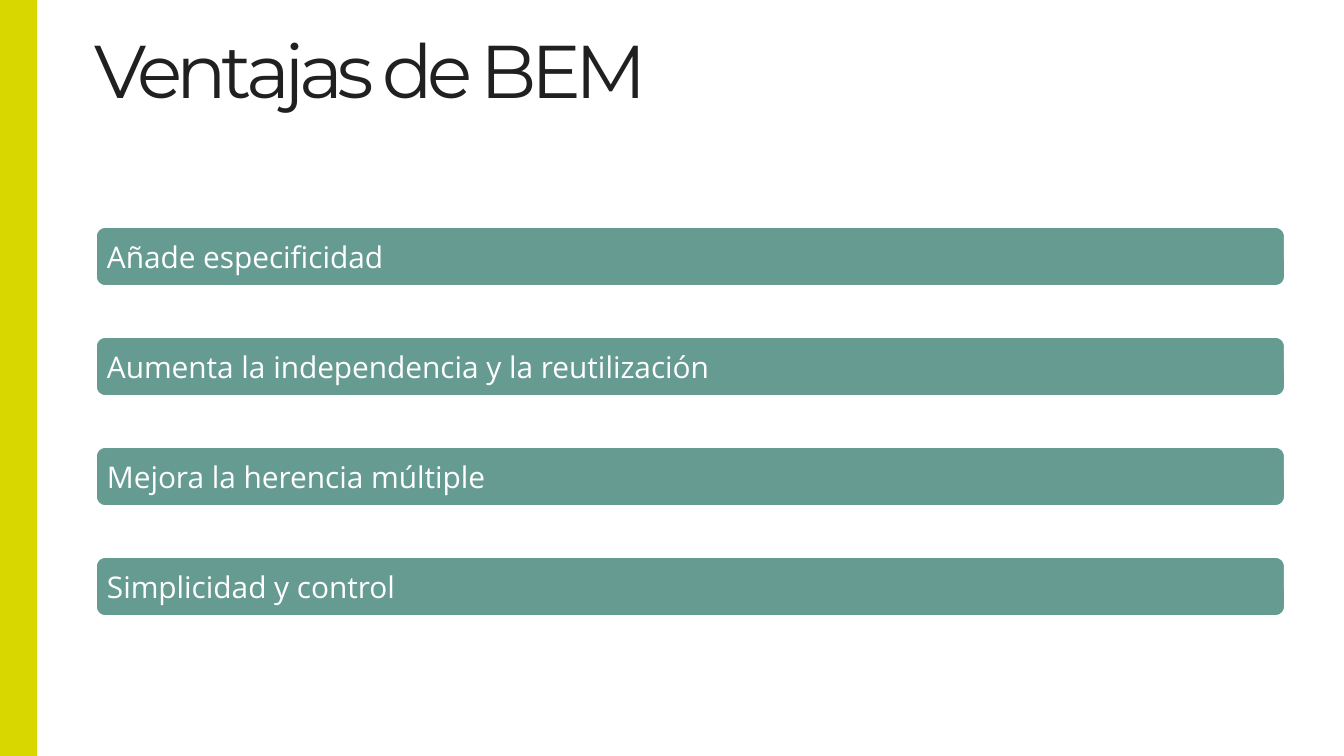
import pptx
import pptx.util
import pptx.dml.color
import pptx.enum.shapes
import pptx.enum.text

EMU_PER_PX = 914400 / 134.4
COLORS = {"accent": "D8D800", "bar": "659B91", "title": "202020", "white": "FFFFFF"}
ADVANTAGES = [
    "Añade especificidad",
    "Aumenta la independencia y la reutilización",
    "Mejora la herencia múltiple",
    "Simplicidad y control",
]
BAR_LEFT, BAR_TOP, BAR_WIDTH, BAR_HEIGHT, BAR_STEP = 95, 226, 1191, 61, 110


def px(length):
    return pptx.util.Emu(round(length * EMU_PER_PX))


def color(name):
    return pptx.dml.color.RGBColor.from_string(COLORS[name])


def set_attributes(target, values):
    for name, value in values.items():
        setattr(target, name, value)


def write_text(shape, text, font_name, size, color_name, anchor, insets):
    left, top, right, bottom = map(px, insets)
    frame = shape.text_frame
    set_attributes(frame, {
        "word_wrap": True, "vertical_anchor": anchor,
        "margin_left": left, "margin_top": top,
        "margin_right": right, "margin_bottom": bottom,
    })
    paragraph = frame.paragraphs[0]
    paragraph.alignment = pptx.enum.text.PP_ALIGN.LEFT
    run = paragraph.add_run()
    run.text = text
    set_attributes(run.font, {"name": font_name, "size": pptx.util.Pt(size)})
    run.font.color.rgb = color(color_name)
    return run


def add_block(slide, kind, box, fill_name):
    shape = slide.shapes.add_shape(kind, *map(px, box))
    shape.shadow.inherit = False
    shape.fill.solid()
    shape.fill.fore_color.rgb = color(fill_name)
    shape.line.fill.background()
    return shape


def add_title(slide, text):
    shape = slide.shapes.add_textbox(*map(px, (95, 0, 1212, 120)))
    run = write_text(shape, text, "Montserrat", 40, "title",
                     pptx.enum.text.MSO_ANCHOR.BOTTOM, (0, 7, 13, 7))
    # Tighten the letters by 3 pt
    run.font._element.set("spc", "-300")


def add_advantage(slide, text, top):
    shape = add_block(slide, pptx.enum.shapes.MSO_SHAPE.ROUNDED_RECTANGLE,
                      (BAR_LEFT, top, BAR_WIDTH, BAR_HEIGHT), "bar")
    shape.adjustments[0] = 0.17
    shape.line.color.rgb = color("white")
    shape.line.width = pptx.util.Pt(2)
    # The rounded corners already inset the text by 3 px
    write_text(shape, text, "Open Sans", 16, "white",
               pptx.enum.text.MSO_ANCHOR.MIDDLE, (9, 9, 9, 9))


def main():
    presentation = pptx.Presentation()
    set_attributes(presentation, {"slide_width": px(1344), "slide_height": px(756)})
    slide = presentation.slides.add_slide(presentation.slide_layouts[6])

    # Title and side band
    add_title(slide, "Ventajas de BEM")
    add_block(slide, pptx.enum.shapes.MSO_SHAPE.RECTANGLE, (0, 0, 37, 756), "accent")

    # Evenly spaced advantages
    for index, text in enumerate(ADVANTAGES):
        add_advantage(slide, text, BAR_TOP + index * BAR_STEP)

    presentation.save("out.pptx")


if __name__ == "__main__":
    main()
